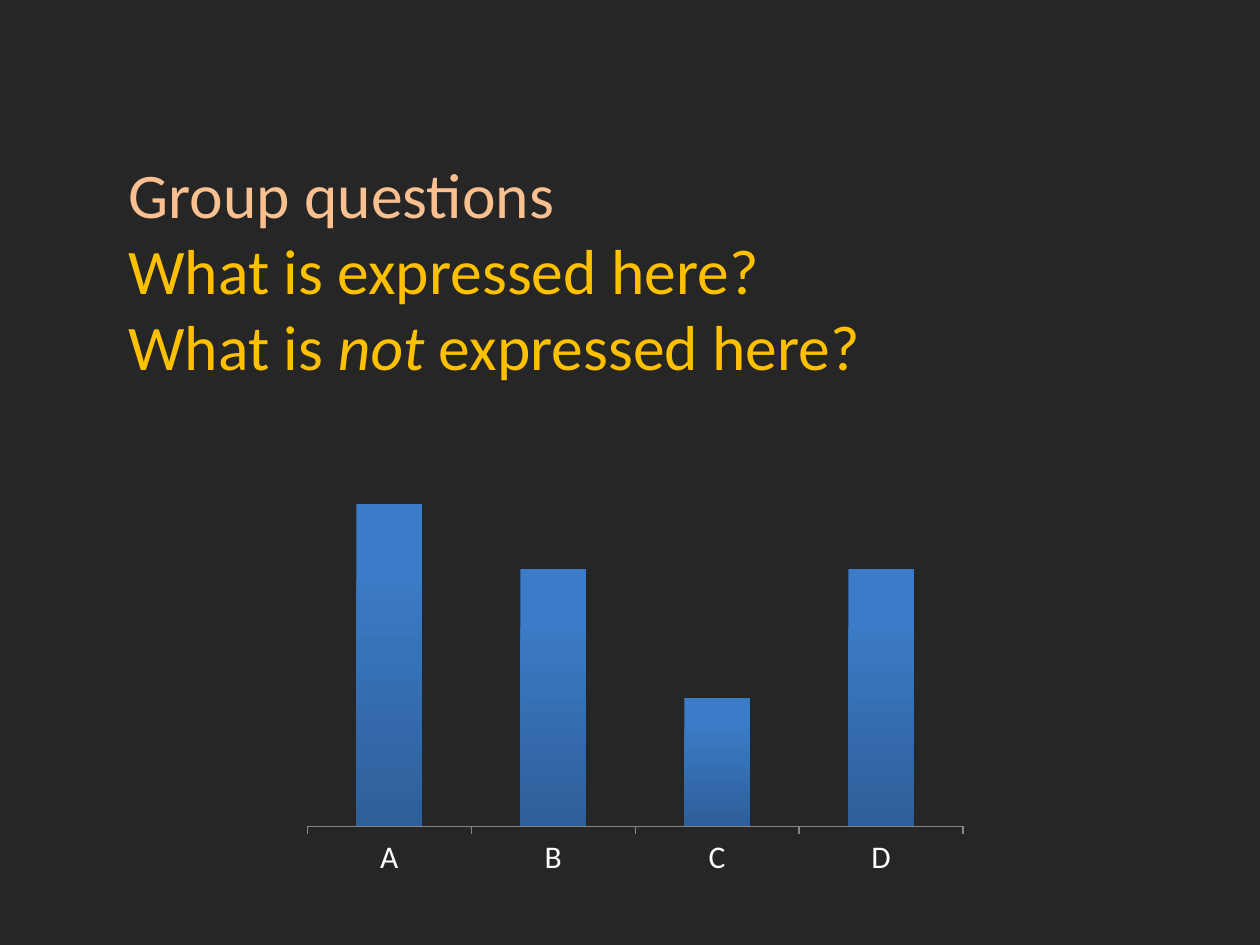
from pptx import Presentation
from pptx.chart.data import CategoryChartData
from pptx.dml.color import RGBColor
from pptx.enum.chart import XL_CHART_TYPE, XL_TICK_MARK
from pptx.enum.text import MSO_ANCHOR
from pptx.util import Cm, Pt

FONT = "Calibri"
PEACH, AMBER = "FAC090", "FFC000"

# Each line: colour, then (text, italic) runs
QUESTION_LINES = [
    (PEACH, [("Group questions", False)]),
    (AMBER, [("What is expressed here?", False)]),
    (AMBER, [("What is ", False), ("not", True), (" expressed here?", False)]),
]
BAR_VALUES = {"A": 100, "B": 80, "C": 40, "D": 80}


def color(hex_value):
    return RGBColor.from_string(hex_value)


def add_questions(slide, left, top, width, height):
    text_frame = slide.shapes.add_textbox(left, top, width, height).text_frame
    text_frame.word_wrap = True
    text_frame.vertical_anchor = MSO_ANCHOR.MIDDLE
    for index, (line_color, runs) in enumerate(QUESTION_LINES):
        paragraph = text_frame.add_paragraph() if index else text_frame.paragraphs[0]
        for text, italic in runs:
            run = paragraph.add_run()
            run.text = text
            run.font.name = FONT
            run.font.size = Pt(36.3)
            run.font.italic = italic
            run.font.color.rgb = color(line_color)


def add_bar_chart(slide, left, top, width, height):
    chart_data = CategoryChartData()
    chart_data.categories = list(BAR_VALUES)
    chart_data.add_series("Series 1", list(BAR_VALUES.values()))
    chart = slide.shapes.add_chart(
        XL_CHART_TYPE.COLUMN_CLUSTERED, left, top, width, height, chart_data
    ).chart
    chart.has_legend = False
    chart.has_title = False
    chart.font.name = FONT
    chart.font.size = Pt(18)

    # Axes: only the category axis shows
    category_axis = chart.category_axis
    category_axis.major_tick_mark = XL_TICK_MARK.OUTSIDE
    category_axis.format.line.color.rgb = color("868686")
    category_axis.format.line.width = Pt(0.75)
    category_axis.tick_labels.font.size = Pt(18)
    category_axis.tick_labels.font.color.rgb = color("FFFFFF")
    value_axis = chart.value_axis
    value_axis.visible = False
    value_axis.has_major_gridlines = False
    value_axis.minimum_scale = 0
    value_axis.maximum_scale = 120

    # Bars, shaded from light at the top to dark at the foot
    plot = chart.plots[0]
    plot.gap_width = 150
    plot.vary_by_categories = False
    fill = plot.series[0].format.fill
    fill.gradient()
    fill.gradient_angle = 270
    stops = [(0.2, "3C7BC7"), (1, "2E5F99")]
    for stop, (position, hex_value) in zip(fill.gradient_stops, stops):
        stop.position = position
        stop.color.rgb = color(hex_value)


def main():
    presentation = Presentation()
    presentation.slide_width = Cm(25.4)
    presentation.slide_height = Cm(19.05)
    slide = presentation.slides.add_slide(presentation.slide_layouts[6])
    slide.background.fill.solid()
    slide.background.fill.fore_color.rgb = color("262626")

    add_bar_chart(slide, Cm(5.92), Cm(8.69), Cm(13.77), Cm(9.17))
    add_questions(slide, Cm(2.34), Cm(3.38), Cm(21.59), Cm(4.09))
    presentation.save("out.pptx")


if __name__ == "__main__":
    main()
